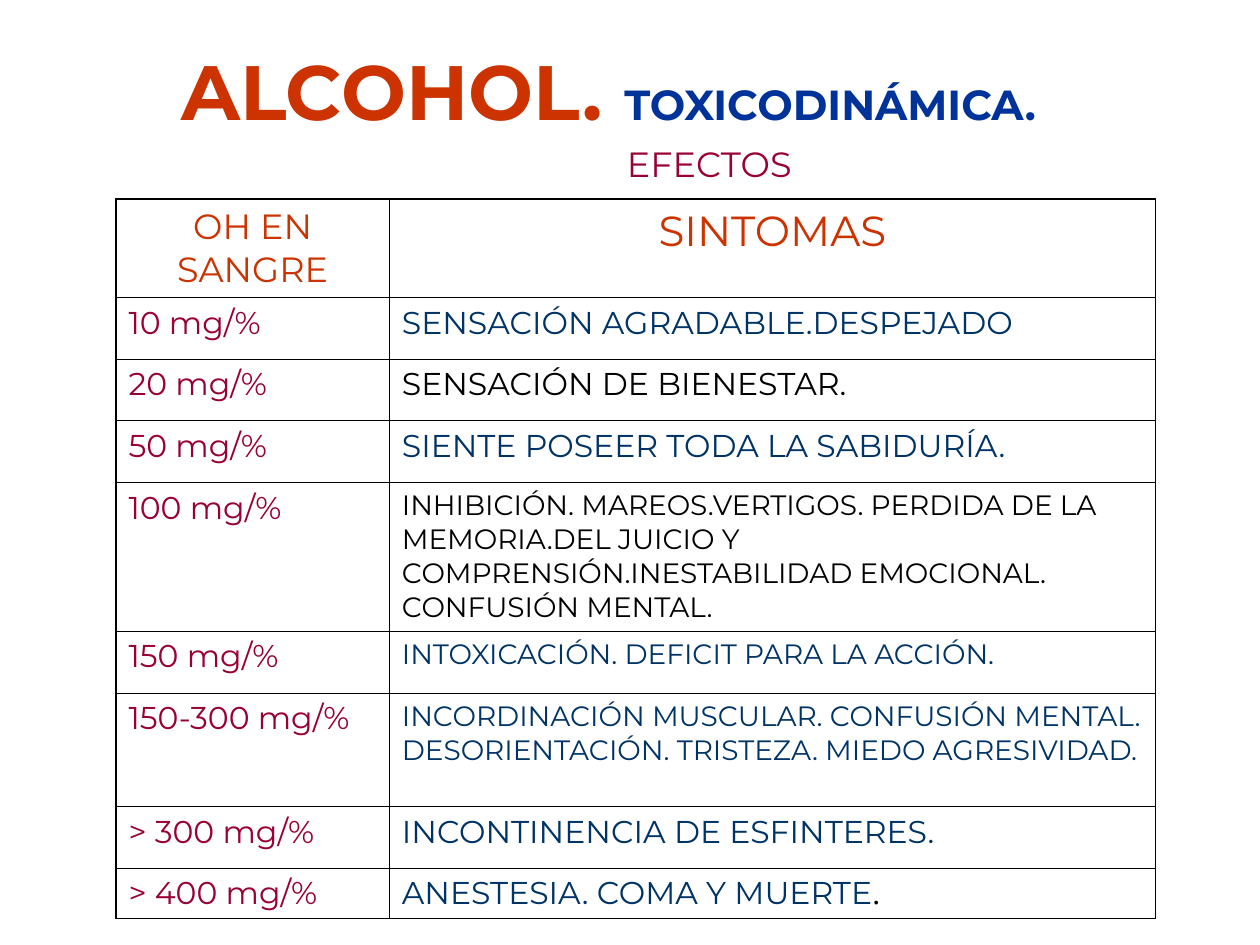
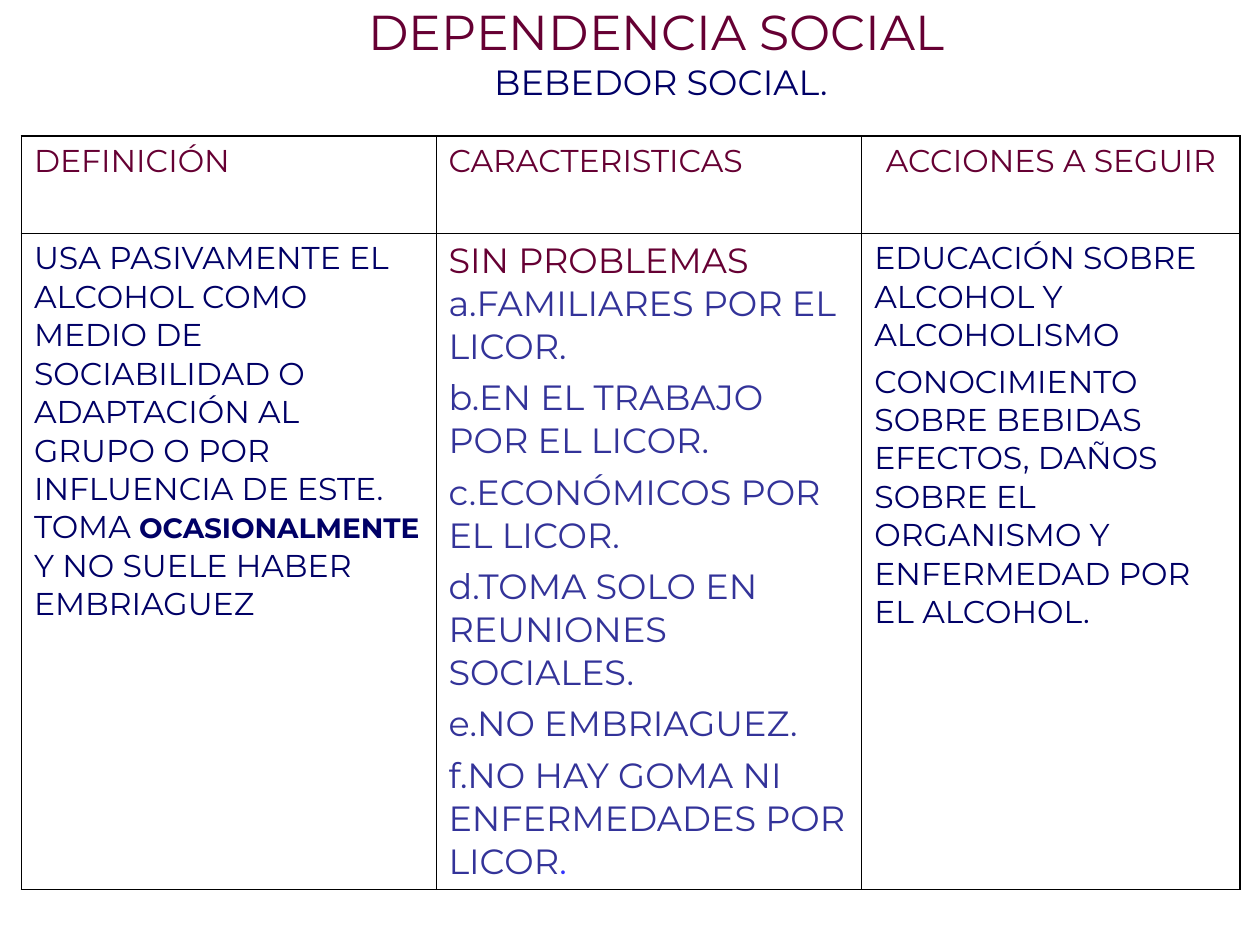
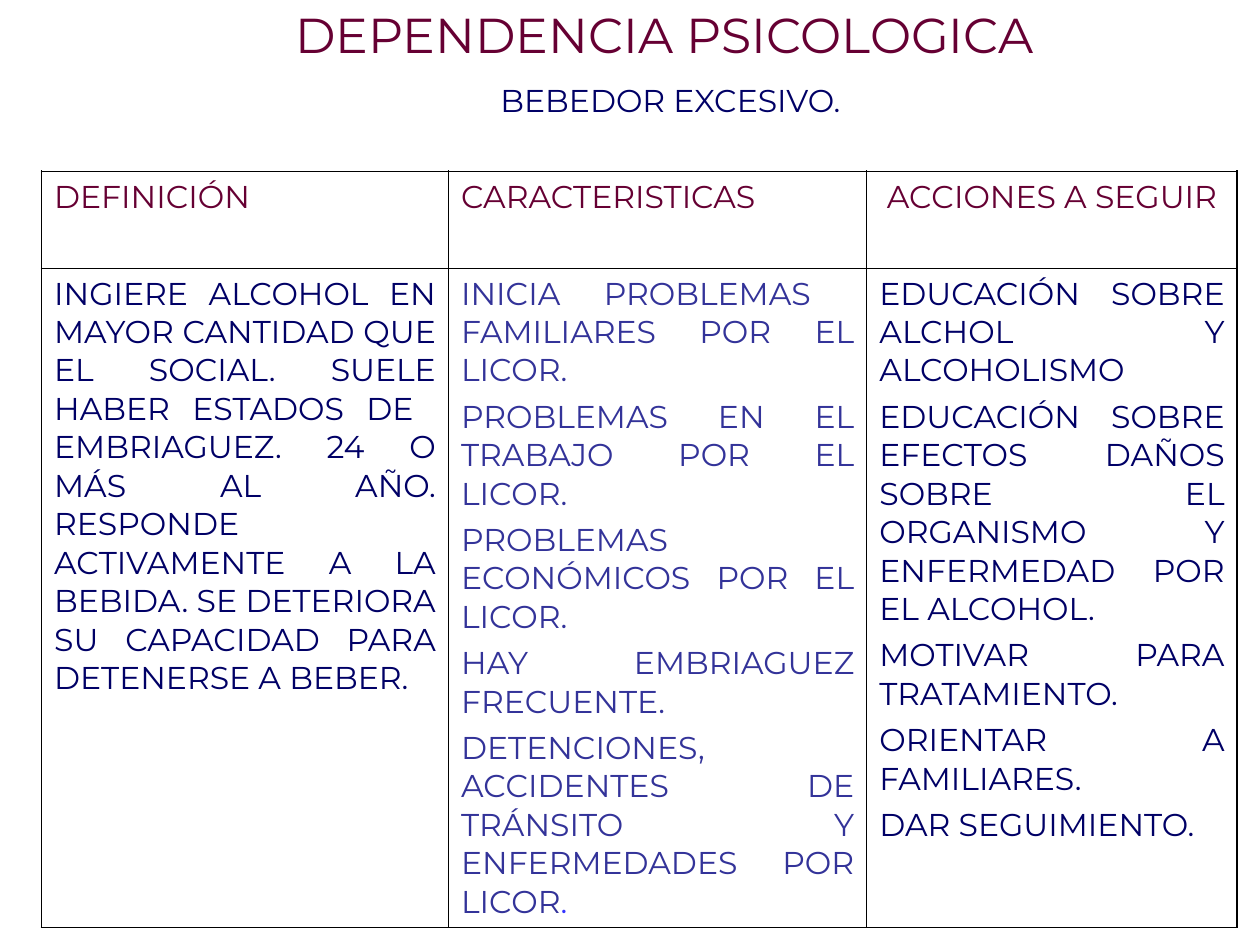
import collections

import pptx
import pptx.dml.color
import pptx.enum.text
import pptx.oxml
import pptx.oxml.ns
import pptx.util

Inches = pptx.util.Inches
Pt = pptx.util.Pt
RGB = pptx.dml.color.RGBColor
ALIGN = pptx.enum.text.PP_ALIGN

FONT = "Montserrat"
ORANGE = RGB(0xCC, 0x33, 0x00)
BLUE = RGB(0x00, 0x33, 0x99)
TEAL = RGB(0x00, 0x33, 0x66)
CRIMSON = RGB(0x99, 0x00, 0x33)
WINE = RGB(0x66, 0x00, 0x33)
NAVY = RGB(0x00, 0x00, 0x66)
INDIGO = RGB(0x33, 0x33, 0x99)
BRIGHT = RGB(0x33, 0x33, 0xFF)
BLACK = RGB(0x00, 0x00, 0x00)

THIN, THICK = 0.45, 1.08
BREAK = "\v"

Run = collections.namedtuple("Run", "text size color bold font", defaults=(False, FONT))

# Level in blood, symptoms, text size, text colour, row height
EFFECTS = [
    ("10 mg/%", "SENSACIÓN AGRADABLE.DESPEJADO", 18, TEAL, 0.49),
    ("20 mg/%", "SENSACIÓN DE BIENESTAR.", 18, BLACK, 0.49),
    ("50 mg/%", "SIENTE POSEER TODA LA SABIDURÍA.", 18, TEAL, 0.49),
    ("100 mg/%", "INHIBICIÓN. MAREOS.VERTIGOS. PERDIDA DE LA MEMORIA.DEL JUICIO Y "
     "COMPRENSIÓN.INESTABILIDAD EMOCIONAL. CONFUSIÓN MENTAL.", 16, BLACK, 1.18),
    ("150 mg/%", "INTOXICACIÓN. DEFICIT PARA LA ACCIÓN.", 16, TEAL, 0.49),
    ("150-300 mg/%", "INCORDINACIÓN MUSCULAR. CONFUSIÓN MENTAL. "
     "DESORIENTACIÓN. TRISTEZA. MIEDO AGRESIVIDAD.", 16, TEAL, 0.9),
    ("> 300 mg/%", "INCONTINENCIA DE ESFINTERES.", 18, TEAL, 0.49),
    ("> 400 mg/%", "ANESTESIA. COMA Y MUERTE", 18, TEAL, 0.4),
]

HEADS = ["DEFINICIÓN", "CARACTERISTICAS", "ACCIONES A SEGUIR"]


def paras(size, color, *texts):
    return [[Run(text, size, color)] for text in texts]


SOCIAL = [
    [[
        Run("USA PASIVAMENTE EL ALCOHOL COMO MEDIO DE SOCIABILIDAD O ADAPTACIÓN "
            "AL GRUPO O POR INFLUENCIA DE ESTE. TOMA ", 18, NAVY),
        Run("OCASIONALMENTE", 16, NAVY, True),
        Run(" Y NO SUELE HABER EMBRIAGUEZ", 18, NAVY),
    ]],
    [
        [Run("SIN PROBLEMAS", 20, WINE), Run(" a.FAMILIARES POR EL LICOR.", 20, INDIGO)],
        *paras(20, INDIGO,
               "b.EN EL TRABAJO POR EL LICOR.",
               "c.ECONÓMICOS POR EL LICOR.",
               "d.TOMA SOLO EN REUNIONES SOCIALES.",
               "e.NO EMBRIAGUEZ."),
        [Run("f.NO HAY GOMA NI ENFERMEDADES POR LICOR", 20, INDIGO), Run(".", 20, BRIGHT)],
    ],
    paras(18, NAVY,
          "EDUCACIÓN SOBRE ALCOHOL Y ALCOHOLISMO",
          "CONOCIMIENTO SOBRE BEBIDAS EFECTOS, DAÑOS SOBRE EL ORGANISMO "
          "Y ENFERMEDAD POR EL ALCOHOL."),
]

HEAVY = [
    paras(18, NAVY,
          "INGIERE ALCOHOL EN MAYOR CANTIDAD QUE EL SOCIAL. SUELE HABER ESTADOS DE  "
          "EMBRIAGUEZ. 24 O MÁS AL AÑO. RESPONDE ACTIVAMENTE A LA BEBIDA. SE DETERIORA "
          "SU CAPACIDAD PARA DETENERSE A BEBER."),
    [
        *paras(18, INDIGO,
               "INICIA PROBLEMAS  FAMILIARES POR EL LICOR.",
               "PROBLEMAS EN EL TRABAJO POR EL LICOR.",
               "PROBLEMAS ECONÓMICOS POR EL LICOR.",
               "HAY EMBRIAGUEZ FRECUENTE."),
        [Run("DETENCIONES, ACCIDENTES DE TRÁNSITO Y ENFERMEDADES POR LICOR", 18, INDIGO),
         Run(".", 18, BRIGHT)],
    ],
    paras(18, NAVY,
          "EDUCACIÓN SOBRE ALCHOL Y ALCOHOLISMO",
          "EDUCACIÓN SOBRE EFECTOS DAÑOS SOBRE EL ORGANISMO Y ENFERMEDAD POR EL ALCOHOL.",
          "MOTIVAR PARA TRATAMIENTO.",
          "ORIENTAR A FAMILIARES.",
          "DAR SEGUIMIENTO."),
]

# Title box, title runs, table corner, column widths, body cells, body alignment
DRINKERS = [
    ((0.92, 0.08, 8.58, 0.67),
     [Run("DEPENDENCIA SOCIAL", 28, WINE), Run(BREAK, 28, WINE),
      Run(" BEBEDOR SOCIAL.", 20, NAVY)],
     (0.17, 1.08), [3.29, 3.38, 3], SOCIAL, ALIGN.LEFT),
    ((1, 0.17, 8.54, 0.67),
     [Run("DEPENDENCIA PSICOLOGICA", 28, WINE), Run(BREAK, 28, WINE),
      Run(" ", 28, WINE), Run("BEBEDOR EXCESIVO.", 18, NAVY)],
     (0.33, 1.36), [3.23, 3.32, 2.94], HEAVY, ALIGN.JUSTIFY),
]


def write(frame, blocks, align):
    """Fill a text frame with paragraphs, each a list of runs."""
    for i, block in enumerate(blocks):
        para = frame.paragraphs[0] if i == 0 else frame.add_paragraph()
        para.alignment = align
        if i:
            para.space_before = Pt(block[0].size / 4)
        for part in block:
            if part.text == BREAK:
                para.add_line_break()
                continue
            run = para.add_run()
            run.text = part.text
            run.font.size = Pt(part.size)
            run.font.name = part.font
            run.font.bold = part.bold
            run.font.color.rgb = part.color


def add_slide(deck, box, runs):
    slide = deck.slides.add_slide(deck.slide_layouts[5])
    title = slide.shapes.title
    title.left, title.top, title.width, title.height = map(Inches, box)
    frame = title.text_frame
    frame.auto_size = pptx.enum.text.MSO_AUTO_SIZE.NONE
    frame.vertical_anchor = pptx.enum.text.MSO_ANCHOR.MIDDLE
    write(frame, [runs], ALIGN.CENTER)
    return slide


def set_edge(cell, side, width):
    props = cell._tc.get_or_add_tcPr()
    props.append(pptx.oxml.parse_xml(
        f'<a:ln{side} {pptx.oxml.ns.nsdecls("a")} w="{Pt(width)}">'
        f'<a:solidFill><a:srgbClr val="{BLACK}"/></a:solidFill></a:ln{side}>'))


def add_grid(slide, corner, widths, heights, rows):
    """Draw a table with a thick frame; each cell is (paragraphs, alignment)."""
    size = (sum(widths), sum(heights))
    table = slide.shapes.add_table(
        len(heights), len(widths), *map(Inches, corner + size)).table
    table.first_row = table.horz_banding = False
    for col, width in zip(table.columns, widths):
        col.width = Inches(width)
    for row, height in zip(table.rows, heights):
        row.height = Inches(height)
    for r, row in enumerate(rows):
        for c, (blocks, align) in enumerate(row):
            cell = table.cell(r, c)
            outer = {"L": c == 0, "R": c == len(widths) - 1,
                     "T": r == 0, "B": r == len(heights) - 1}
            for side, edge in outer.items():
                set_edge(cell, side, THICK if edge else THIN)
            cell.fill.background()
            write(cell.text_frame, blocks, align)


def add_effects(deck):
    slide = add_slide(deck, (0.58, 0.5, 8.5, 0.42), [
        Run("ALCOHOL. ", 44, ORANGE, True), Run("TOXICODINÁMICA.", 24, BLUE, True)])
    label = slide.shapes.add_textbox(*map(Inches, (1.38, 1.08, 8.5, 0.45)))
    label.text_frame.word_wrap = True
    write(label.text_frame, paras(20, CRIMSON, "EFECTOS"), ALIGN.CENTER)

    rows = [[(paras(20, ORANGE, "OH EN SANGRE"), ALIGN.CENTER),
             (paras(24, ORANGE, "SINTOMAS"), ALIGN.CENTER)]]
    for level, signs, size, color, _ in EFFECTS:
        rows.append([(paras(18, CRIMSON, level), ALIGN.LEFT),
                     (paras(size, color, signs), ALIGN.LEFT)])
    last = rows[-1][1][0]
    last[0].append(Run(".", 18, BLACK, False, "Times New Roman"))
    heights = [0.78] + [effect[-1] for effect in EFFECTS]
    add_grid(slide, (0.92, 1.58), [2.17, 6.08], heights, rows)


def add_drinker(deck, box, runs, corner, widths, cells, align):
    slide = add_slide(deck, box, runs)
    aligns = [ALIGN.LEFT, ALIGN.LEFT, ALIGN.CENTER]
    heads = [(paras(18, WINE, head), side) for head, side in zip(HEADS, aligns)]
    body = [(blocks, align) for blocks in cells]
    add_grid(slide, corner, widths, [0.77, 5.2], [heads, body])


def main():
    deck = pptx.Presentation()
    deck.slide_width, deck.slide_height = Inches(10), Inches(7.5)
    add_effects(deck)
    for drinker in DRINKERS:
        add_drinker(deck, *drinker)
    deck.save("out.pptx")


if __name__ == "__main__":
    main()
